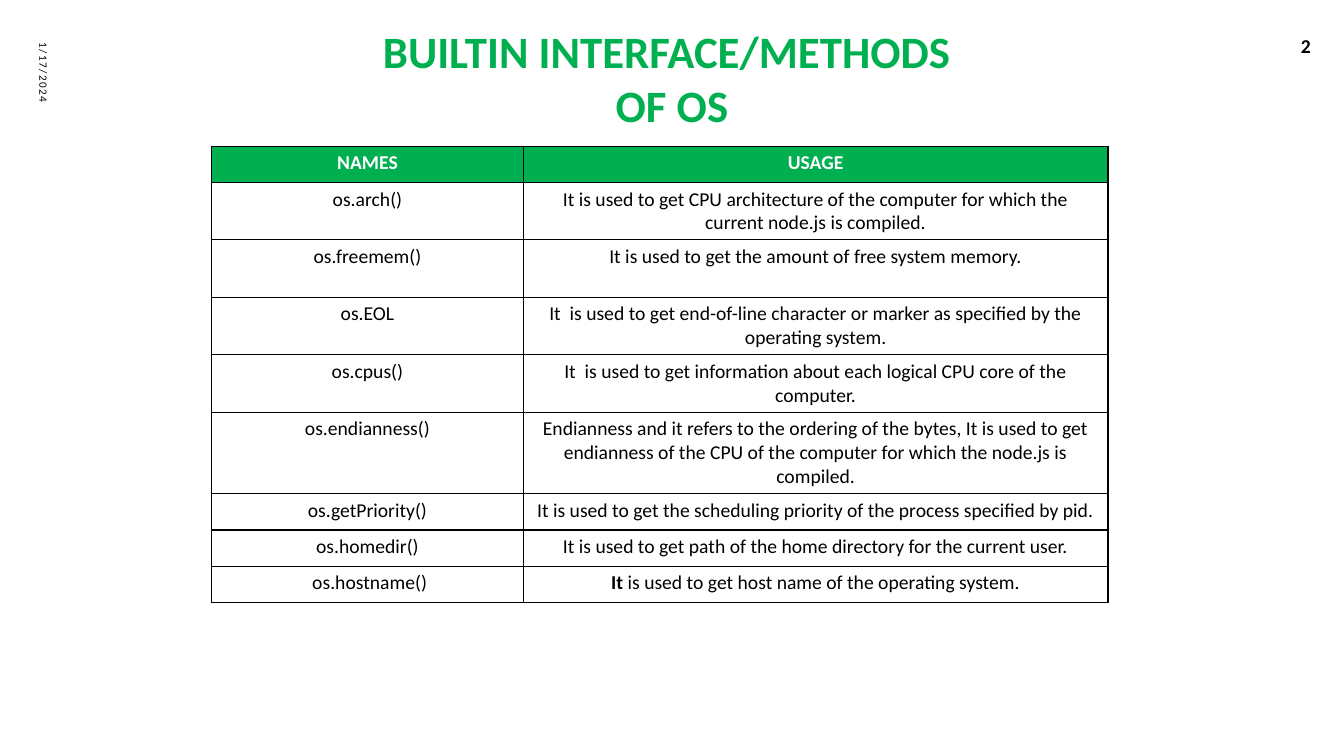
from lxml.etree import SubElement as Sub
from pptx import Presentation as Deck
from pptx.dml.color import RGBColor as Rgb
from pptx.enum.text import MSO_ANCHOR as Anchor, PP_ALIGN as Align
from pptx.oxml.ns import qn
from pptx.util import Inches, Pt


class Theme:
    font = "Calibri"
    green, black, white = "00B050", "000000", "FFFFFF"
    title, body, date = 32, 14, 8


HEAD = ("NAMES", "USAGE")
ROWS = [
    ("os.arch()", "It is used to get CPU architecture of the computer for which "
     "the current node.js is compiled.", 2),
    ("os.freemem()", "It is used to get the amount of free system memory.", 2),
    ("os.EOL", "It  is used to get end-of-line character or marker as specified "
     "by the operating system.", 2),
    ("os.cpus()", "It  is used to get information about each logical CPU core of "
     "the computer.", 2),
    ("os.endianness()", "Endianness and it refers to the ordering of the bytes, It "
     "is used to get endianness of the CPU of the computer for which the node.js "
     "is compiled.", 3),
    ("os.getPriority()", "It is used to get the scheduling priority of the process "
     "specified by pid.", 1),
    ("os.homedir()", "It is used to get path of the home directory for the current "
     "user.", 1),
    (" os.hostname()", "It is used to get host name of the operating system.", 1),
]
HIGH = {1: 0.36, 2: 0.57, 3: 0.81}  # row height by number of text lines


def write(frame, text, size=Theme.body, color=Theme.black, bold=False,
          align=Align.CENTER, space=0, after=0, lead=""):
    """Fill a text frame; lead is an opening part set in bold."""
    para = frame.paragraphs[0]
    para.alignment = align
    if after:
        para.space_after = Pt(after)
    for part, heavy in ((lead, True), (text, bold)):
        if not part:
            continue
        for num, line in enumerate(part.split("\n")):
            if num:
                para.add_line_break()
            run = para.add_run()
            run.text = line
            font = run.font
            font.name, font.size, font.bold = Theme.font, Pt(size), heavy
            font.color.rgb = Rgb.from_string(color)
            if space:
                run._r.get_or_add_rPr().set("spc", str(space * 100))


def edge(cell, color=Theme.black, width=1):
    """Draw a solid line on all four sides of a cell."""
    prop = cell._tc.get_or_add_tcPr()
    for side in ("lnL", "lnR", "lnT", "lnB"):
        line = Sub(prop, qn("a:" + side), w=str(Pt(width)))
        Sub(Sub(line, qn("a:solidFill")), qn("a:srgbClr"), val=color)


class Page:
    def __init__(self, deck, theme):
        self.theme = theme
        self.slide = deck.slides.add_slide(deck.slide_layouts[6])

    def text(self, text, left, top, width, height, turn=0,
             anchor=Anchor.MIDDLE, **form):
        box = self.slide.shapes.add_textbox(
            *map(Inches, (left, top, width, height)))
        box.rotation = turn
        frame = box.text_frame
        frame.word_wrap = True
        frame.vertical_anchor = anchor
        write(frame, text, **form)

    def cell(self, cell, text, fill, **form):
        edge(cell)
        cell.fill.solid()
        cell.fill.fore_color.rgb = Rgb.from_string(fill)
        write(cell.text_frame, text, **form)

    def table(self, head, rows, left, top, cols):
        look = self.theme
        highs = [HIGH[1]] + [HIGH[row[2]] for row in rows]
        grid = self.slide.shapes.add_table(
            len(highs), len(cols),
            *map(Inches, (left, top, sum(cols), sum(highs)))).table
        for col, width in zip(grid.columns, cols):
            col.width = Inches(width)
        for row, high in zip(grid.rows, highs):
            row.height = Inches(high)
        for x, name in enumerate(head):
            self.cell(grid.cell(0, x), name, look.green,
                      color=look.white, bold=True)
        for y, (name, usage, _) in enumerate(rows, 1):
            lead = "It" if y == len(rows) else ""
            self.cell(grid.cell(y, 0), name, look.white)
            self.cell(grid.cell(y, 1), usage[len(lead):], look.white, lead=lead)


def main():
    deck = Deck()
    deck.slide_width, deck.slide_height = Inches(13.33), Inches(7.5)
    look = Theme()
    page = Page(deck, look)
    page.text("BUILTIN INTERFACE/METHODS \nOF OS", 0.91, 0.21, 11.51, 1.14,
              anchor=Anchor.BOTTOM, size=look.title, color=look.green, bold=True)
    page.text("1/17/2024", -0.19, 0.75, 1.25, 0.4, turn=90, size=look.date,
              align=Align.LEFT, space=1, after=6)
    page.text("2", 12.32, 0.25, 0.78, 0.4, bold=True, align=Align.RIGHT,
              space=1, after=6)
    page.table(HEAD, ROWS, 2.1, 1.45, (3.09, 5.8))
    deck.save("out.pptx")


if __name__ == "__main__":
    main()
